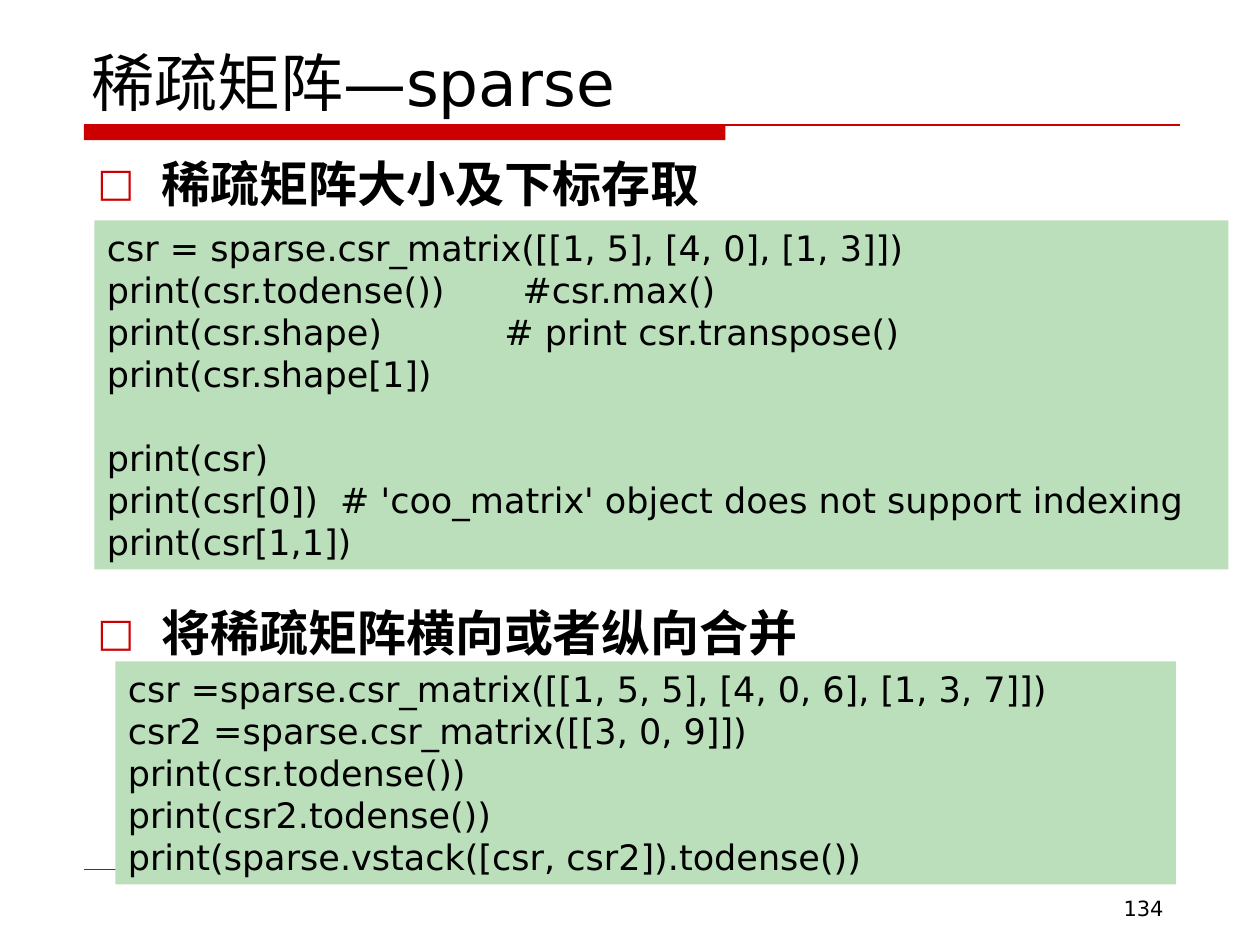
import dataclasses

import pptx
import pptx.dml.color
import pptx.enum.lang
import pptx.enum.shapes
import pptx.enum.text
import pptx.oxml
import pptx.oxml.ns
import pptx.util

Pt = pptx.util.Pt
PP_ALIGN = pptx.enum.text.PP_ALIGN
MSO_ANCHOR = pptx.enum.text.MSO_ANCHOR
MSO_SHAPE = pptx.enum.shapes.MSO_SHAPE


@dataclasses.dataclass(frozen=True)
class Theme:
    font: str = "DejaVu Sans"
    ink: str = "000000"
    accent: str = "CC0000"
    code_fill: str = "BBDFBB"
    title: float = 36
    heading: float = 28
    code: float = 20
    number: float = 12
    code_line: float = 24


THEME = Theme()
CODE_ACCESS = """csr = sparse.csr_matrix([[1, 5], [4, 0], [1, 3]])
print(csr.todense())       #csr.max()
print(csr.shape)           # print csr.transpose()
print(csr.shape[1])

print(csr)
print(csr[0])  # 'coo_matrix' object does not support indexing
print(csr[1,1])"""
CODE_MERGE = """csr =sparse.csr_matrix([[1, 5, 5], [4, 0, 6], [1, 3, 7]])
csr2 =sparse.csr_matrix([[3, 0, 9]])
print(csr.todense())
print(csr2.todense())
print(sparse.vstack([csr, csr2]).todense())"""


def rgb(color):
    return pptx.dml.color.RGBColor.from_string(color)


def add_xml(parent, tag, **attributes):
    element = pptx.oxml.parse_xml(f"<a:{tag} {pptx.oxml.ns.nsdecls('a')}/>")
    for name, value in attributes.items():
        element.set(name, value)
    parent.append(element)
    return element


def write(p, text, size, bold=False, align=PP_ALIGN.LEFT, before=0):
    p.alignment = align
    if before:
        p.space_before = Pt(before)
    r = p.add_run()
    r.text = text
    r.font.size = Pt(size)
    r.font.bold = bold
    r.font.color.rgb = rgb(THEME.ink)
    r.font.name = THEME.font
    r.font.language_id = pptx.enum.lang.MSO_LANGUAGE_ID.SIMPLIFIED_CHINESE
    add_xml(r.font._element, "ea", typeface=THEME.font)


def add_text(s, box, text, anchor=MSO_ANCHOR.TOP, **style):
    tf = s.shapes.add_textbox(*map(Pt, box)).text_frame
    tf.word_wrap = True
    tf.vertical_anchor = anchor
    write(tf.paragraphs[0], text, **style)
    return tf.paragraphs[0]


def add_block(s, box, color):
    sp = s.shapes.add_shape(MSO_SHAPE.RECTANGLE, *map(Pt, box))
    sp.shadow.inherit = False
    sp.fill.solid()
    sp.fill.fore_color.rgb = rgb(color)
    sp.line.fill.background()
    return sp


def add_rule(s, left, top, width, weight):
    line = s.shapes.add_connector(
        pptx.enum.shapes.MSO_CONNECTOR.STRAIGHT,
        Pt(left), Pt(top), Pt(left + width), Pt(top))
    line.line.color.rgb = rgb(THEME.accent)
    line.line.width = Pt(weight)
    add_xml(line._element.spPr, "effectLst")


def add_title(s, box, text):
    left, top, width, height = box
    bottom = top + height
    add_block(s, (left + 3, bottom, 366.5, 8.64), THEME.accent)
    add_rule(s, left + 3, bottom, width - 3.5, 0.75)
    add_text(s, box, text, anchor=MSO_ANCHOR.BOTTOM, size=THEME.title)


def add_heading(s, box, text):
    p = add_text(s, box, text, size=THEME.heading, bold=True)
    pPr = p._p.get_or_add_pPr()
    pPr.set("marL", str(Pt(36.75)))
    pPr.set("indent", str(-Pt(38.5)))
    add_xml(add_xml(pPr, "buClr"), "srgbClr", val=THEME.accent)
    add_xml(pPr, "buSzPct", val="80000")
    add_xml(pPr, "buFont", typeface=THEME.font)
    add_xml(pPr, "buChar", char="□")


def add_code(s, box, code):
    tf = add_block(s, box, THEME.code_fill).text_frame
    tf.word_wrap = True
    tf.vertical_anchor = MSO_ANCHOR.TOP
    p, gap = tf.paragraphs[0], 0
    for line in code.splitlines():
        if not line:
            gap += THEME.code_line
            continue
        if p.runs:
            p = tf.add_paragraph()
        write(p, line, THEME.code, before=gap)
        gap = 0


def add_footer(s, box, number):
    left, top, width, height = box
    add_rule(s, left, top, width, 0.25)
    add_text(s, (left + width - 156, top + 11.5, 156, height), number,
             size=THEME.number, align=PP_ALIGN.RIGHT)


def main():
    prs = pptx.Presentation()
    prs.slide_width, prs.slide_height = Pt(720), Pt(540)
    s = prs.slides.add_slide(prs.slide_layouts[6])
    add_title(s, (45, 24, 630, 47.5), "稀疏矩阵—sparse")
    add_footer(s, (48, 496.8, 624, 21), "134")
    add_code(s, (54, 126, 648, 199.4), CODE_ACCESS)
    add_code(s, (66, 378, 606, 127.4), CODE_MERGE)
    add_heading(s, (48.5, 84, 630, 40), "稀疏矩阵大小及下标存取")
    add_heading(s, (48.5, 341, 630, 40), "将稀疏矩阵横向或者纵向合并")
    prs.save("out.pptx")


if __name__ == "__main__":
    main()
